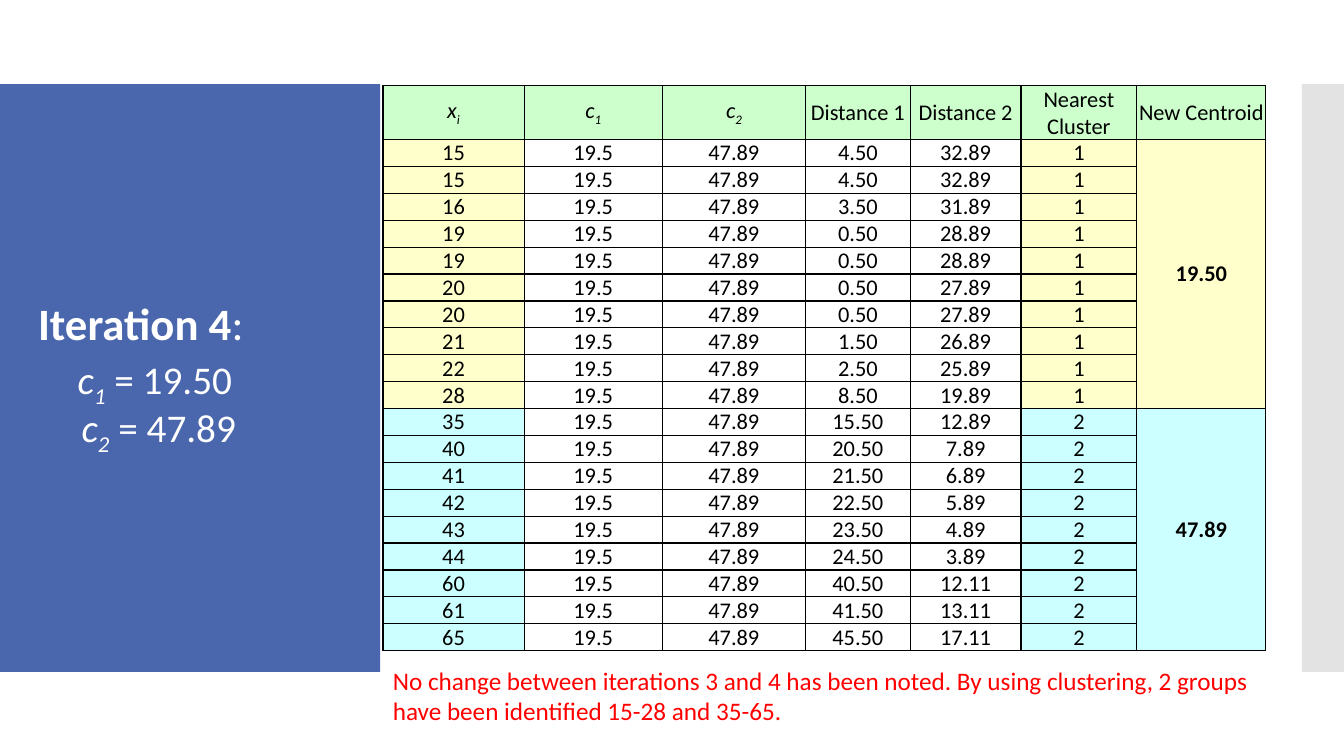
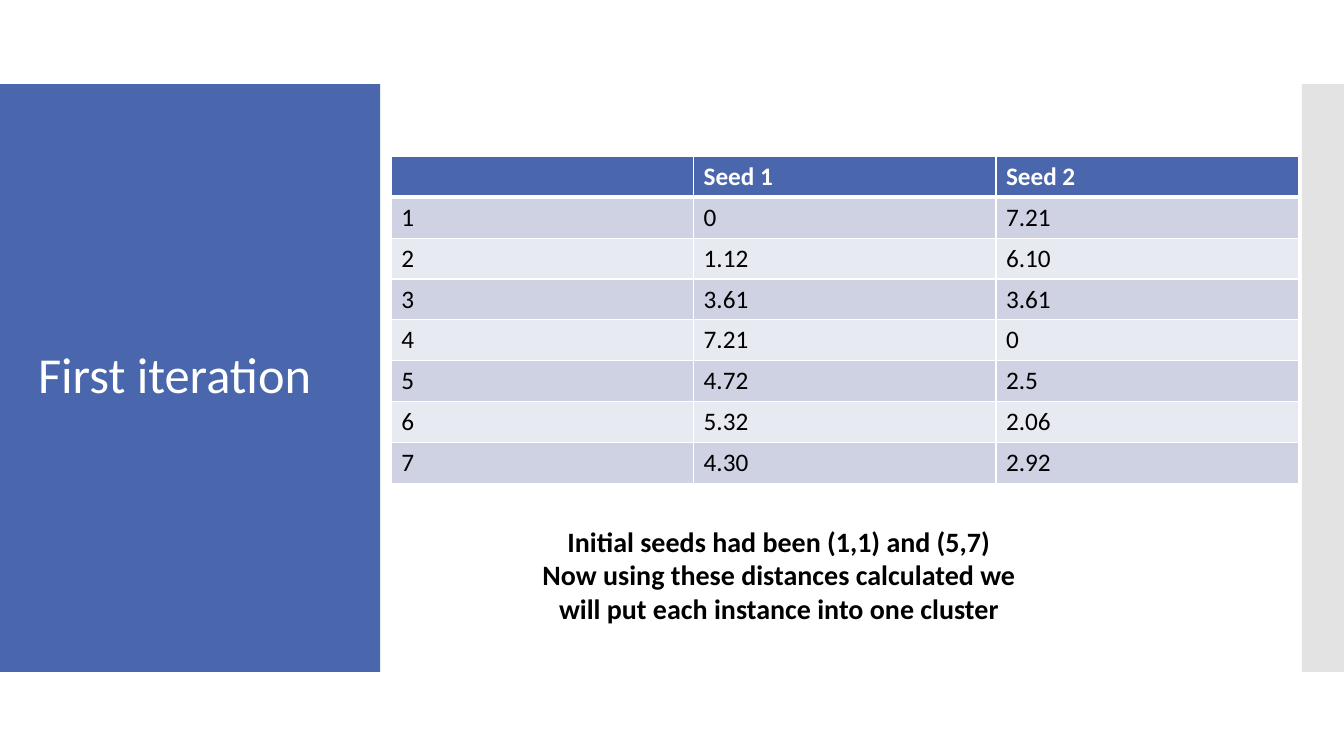
from pptx import Presentation
from pptx.dml.color import RGBColor
from pptx.enum import shapes, text
from pptx.oxml import ns, xmlchemy
from pptx.util import Cm, Pt

FONT = "Calibri"
BLUE = RGBColor(0x4A, 0x66, 0xAC)
GREY = RGBColor(0xC8, 0xC8, 0xC8)
WHITE = RGBColor(0xFF, 0xFF, 0xFF)
BLACK = RGBColor(0, 0, 0)
RED = RGBColor(0xFF, 0, 0)
GREEN = RGBColor(0xCC, 0xFF, 0xCC)
YELLOW = RGBColor(0xFF, 0xFF, 0xCC)
CYAN = RGBColor(0xCC, 0xFF, 0xFF)
BAND_DARK = RGBColor(0xCE, 0xD2, 0xE2)
BAND_LIGHT = RGBColor(0xE8, 0xEA, 0xF1)
SUB = {"italic": True, "sub": True}
ITALIC = {"italic": True}


def add_runs(p, runs, size, color, **base):
    """Add (text, format) runs; the key "sub" makes a subscript."""
    for words, extra in runs:
        r = p.add_run()
        r.text = words
        r.font.color.rgb = color
        fmt = {"name": FONT, "size": Pt(size), "bold": False, **base, **extra}
        if fmt.pop("sub", False):
            r.font._element.set("baseline", "-25000")
        for key, value in fmt.items():
            setattr(r.font, key, value)


def style_cell(cell, fill, line, bottom=1):
    """Draw the four borders (bottom width in points) and fill the cell."""
    tcPr = cell._tc.get_or_add_tcPr()
    for side, width in (("L", 1), ("R", 1), ("T", 1), ("B", bottom)):
        ln = xmlchemy.OxmlElement(f"a:ln{side}")
        ln.set("w", str(Pt(width)))
        solid = xmlchemy.OxmlElement("a:solidFill")
        clr = xmlchemy.OxmlElement("a:srgbClr")
        clr.set("val", str(line))
        solid.append(clr)
        ln.append(solid)
        tcPr.append(ln)
    if fill is None:
        cell.fill.background()
    else:
        cell.fill.solid()
        cell.fill.fore_color.rgb = fill


prs = Presentation()
prs.slide_width, prs.slide_height = Cm(33.87), Cm(19.05)
slides = [prs.slides.add_slide(prs.slide_layouts[6]) for _ in range(2)]

# Side bands
for s in slides:
    for left, width, color, alpha in ((0, 9.58, BLUE, 100), (32.81, 1.06, GREY, 50)):
        sp = s.shapes.add_shape(shapes.MSO_SHAPE.RECTANGLE,
                                Cm(left), Cm(2.12), Cm(width), Cm(14.81))
        sp.shadow.inherit = False
        sp.line.fill.background()
        sp.fill.solid()
        sp.fill.fore_color.rgb = color
        if alpha < 100:
            a = xmlchemy.OxmlElement("a:alpha")
            a.set("val", str(alpha * 1000))
            sp._element.spPr.find(".//" + ns.qn("a:srgbClr")).append(a)

# Titles: (runs, size, indent, space before) for each paragraph
titles = [
    [([("Iteration 4", {"bold": True}), (":", {})], 32, 0, 0),
     ([("c", ITALIC), ("1", SUB), (" = 19.50", {})], 28, 1, 4),
     ([("c", ITALIC), ("2", SUB), (" = 47.89", {})], 28, 1.1, 0)],
    [([("First iteration", {})], 36, 0, 0)],
]
for s, lines in zip(slides, titles):
    tf = s.shapes.add_textbox(Cm(0.71), Cm(3.12), Cm(8.18), Cm(12.78)).text_frame
    tf.word_wrap = True
    tf.vertical_anchor = text.MSO_ANCHOR.MIDDLE
    for i, (runs, size, indent, before) in enumerate(lines):
        p = tf.add_paragraph() if i else tf.paragraphs[0]
        p.line_spacing = 0.9
        if before:
            p.space_before = Pt(before)
        if indent:
            p._p.get_or_add_pPr().set("marL", str(Cm(indent)))
        add_runs(p, runs, size, WHITE)

# Slide 1: distances of each value to both centroids
centroids = (19.5, 47.89)
clusters = [
    (YELLOW, [15, 15, 16, 19, 19, 20, 20, 21, 22, 28]),
    (CYAN, [35, 40, 41, 42, 43, 44, 60, 61, 65]),
]
headers = [[("x", ITALIC), ("i", SUB)], [("c", ITALIC), ("1", SUB)],
           [("c", ITALIC), ("2", SUB)]]
headers += [[(h, {})] for h in ("Distance 1", "Distance 2", "Nearest Cluster", "New Centroid")]
rows = [(headers, [GREEN] * 7)]
for n, (fill, values) in enumerate(clusters):
    for i, x in enumerate(values):
        cells = [str(x), *map(str, centroids),
                 *(f"{abs(x - c):.2f}" for c in centroids), str(n + 1)]
        runs = [[(c, {})] for c in cells]
        runs.append([] if i else [(f"{centroids[n]:.2f}", {"bold": True})])
        rows.append((runs, [fill, None, None, None, None, fill, fill]))

widths = (3.56, 3.48, 3.61, 2.64, 2.79, 2.92, 3.25)
tbl = slides[0].shapes.add_table(len(rows), len(widths), Cm(9.65), Cm(2.16),
                                 Cm(sum(widths)), Cm(13.34)).table
tbl.first_row = tbl.horz_banding = False
for col, width in zip(tbl.columns, widths):
    col.width = Cm(width)
for i, (runs, fills) in enumerate(rows):
    tbl.rows[i].height = Cm(0.64 if i else 1.27)
    for j, fill in enumerate(fills):
        cell = tbl.cell(i, j)
        style_cell(cell, fill, BLACK)
        cell.vertical_anchor = text.MSO_ANCHOR.MIDDLE
        for side in ("left", "right", "top", "bottom"):
            setattr(cell, f"margin_{side}", 0)
        p = cell.text_frame.paragraphs[0]
        p.alignment = text.PP_ALIGN.CENTER
        add_runs(p, runs[j], 16, BLACK)
first = 1
for _, values in clusters:
    last = first + len(values) - 1
    tbl.cell(first, 6).merge(tbl.cell(last, 6))
    first = last + 1

# Slide 2: distances to the seeds
seeds = [("", "Seed 1", "Seed 2"), ("1", "0", "7.21"), ("2", "1.12", "6.10"),
         ("3", "3.61", "3.61"), ("4", "7.21", "0"), ("5", "4.72", "2.5"),
         ("6", "5.32", "2.06"), ("7", "4.30", "2.92")]
tbl = slides[1].shapes.add_table(len(seeds), 3, Cm(9.86), Cm(3.94),
                                 Cm(3 * 7.62), Cm(len(seeds) * 1.03)).table
tbl.horz_banding = False
for i, row in enumerate(seeds):
    tbl.rows[i].height = Cm(1.03)
    fill = (BAND_DARK if i % 2 else BAND_LIGHT) if i else BLUE
    for j, value in enumerate(row):
        cell = tbl.cell(i, j)
        style_cell(cell, fill, WHITE, 1 if i else 3)
        if value:
            add_runs(cell.text_frame.paragraphs[0], [(value, {})], 18,
                     BLACK if i else WHITE, bold=i == 0)

# Remarks under the tables
remarks = [
    ((9.65, 16.64, 22.23, 1.8), 18, RED, False, text.PP_ALIGN.LEFT,
     ["No change between iterations 3 and 4 has been noted. By using clustering, "
      "2 groups have been identified 15-28 and 35-65."]),
    ((13.18, 13.08, 12.9, 2.82), 20, BLACK, True, text.PP_ALIGN.CENTER,
     ["Initial seeds had been (1,1) and (5,7)",
      "Now using these distances calculated we will put each instance into one cluster"]),
]
for s, (box, size, color, bold, align, lines) in zip(slides, remarks):
    tf = s.shapes.add_textbox(*map(Cm, box)).text_frame
    tf.word_wrap = True
    for i, line in enumerate(lines):
        p = tf.add_paragraph() if i else tf.paragraphs[0]
        p.alignment = align
        add_runs(p, [(line, {})], size, color, bold=bold)

prs.save("out.pptx")
